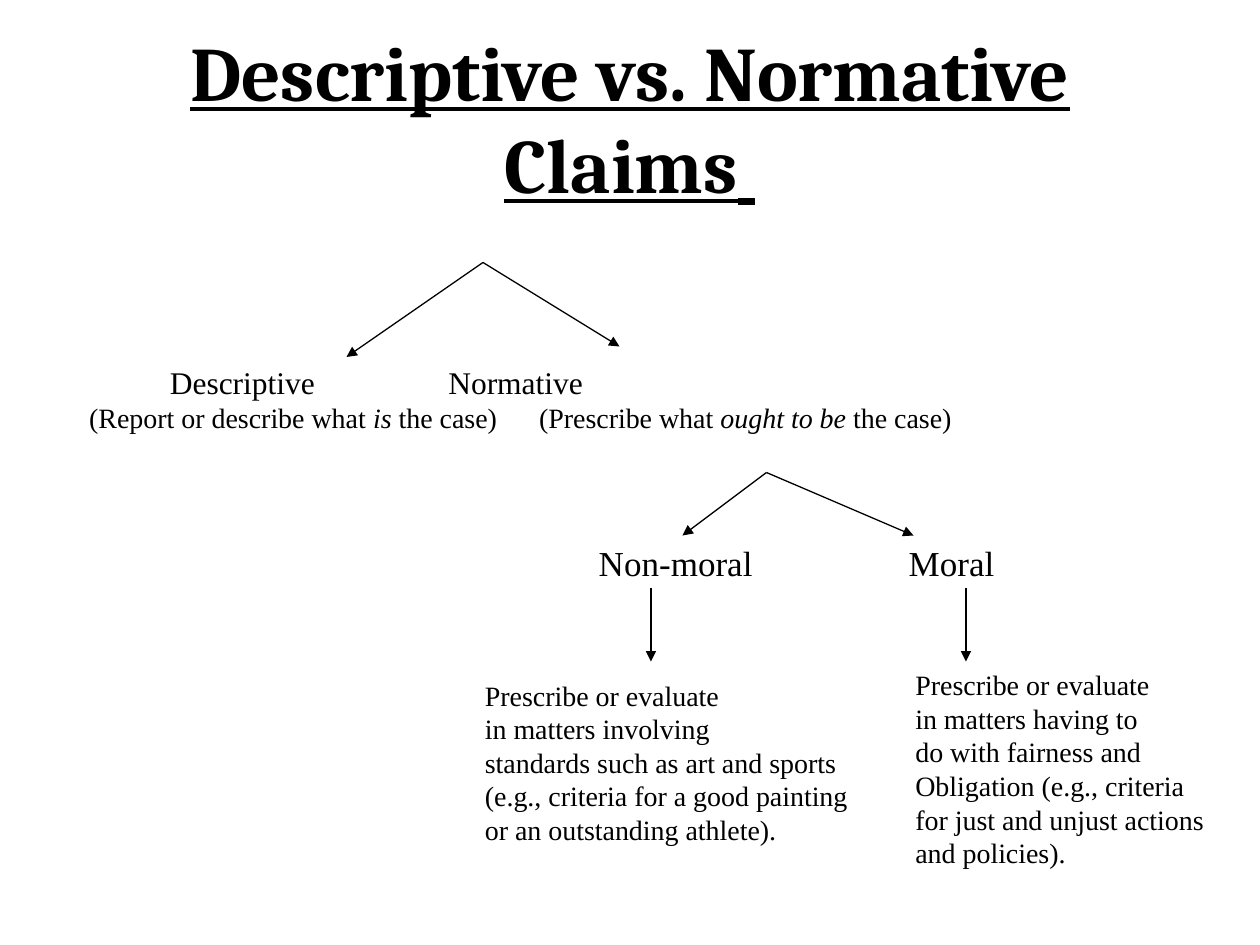
from lxml import etree
from pptx import Presentation, util as u
from pptx.dml.color import RGBColor
from pptx.enum import shapes, text
from pptx.oxml import ns

BLACK = RGBColor(0, 0, 0)
BODY_FONT = "Times New Roman"
COLUMNS, ROWS = 120, 90
CELL = u.Inches(10) // COLUMNS  # square grid, twelve cells to the inch


def grid(*cells):
    return [u.Emu(cell * CELL) for cell in cells]


def add_run(paragraph, words, size, font=BODY_FONT, bold=False, italic=False, underline=False):
    run = paragraph.add_run()
    run.text = words
    run.font.name, run.font.size = font, u.Pt(size)
    run.font.bold, run.font.italic, run.font.underline = bold, italic, underline
    run.font.color.rgb = BLACK


def set_tabs(paragraph, stops):
    """Add left tab stops, in inches from the text edge."""
    tabs = etree.SubElement(paragraph._p.get_or_add_pPr(), ns.qn("a:tabLst"))
    for stop in stops:
        etree.SubElement(tabs, ns.qn("a:tab"), pos=str(u.Inches(stop)), algn="l")


def add_text(slide, box, lines, size, stops=()):
    """Write lines of text; in a line given as a list, every second part is italic."""
    frame = slide.shapes.add_textbox(*grid(*box)).text_frame
    frame.word_wrap = True
    for index, line in enumerate(lines):
        paragraph = frame.add_paragraph() if index else frame.paragraphs[0]
        if stops:
            set_tabs(paragraph, stops[index])
        parts = [line] if isinstance(line, str) else line
        for position, words in enumerate(parts):
            add_run(paragraph, words, size[index] if stops else size, italic=position % 2 == 1)


def add_arrows(slide, start, *tips):
    """Draw arrows from one starting cell to each tip."""
    for tip in tips:
        arrow = slide.shapes.add_connector(shapes.MSO_CONNECTOR.STRAIGHT, *grid(*start, *tip))
        arrow.line.color.rgb = BLACK
        arrow.line.width = u.Pt(0.75)
        etree.SubElement(arrow.line._get_or_add_ln(), ns.qn("a:tailEnd"), type="triangle")
        etree.SubElement(arrow._element.spPr, ns.qn("a:effectLst"))


def add_title(slide, box):
    title = slide.shapes.title
    title.left, title.top, title.width, title.height = grid(*box)
    frame = title.text_frame
    frame.vertical_anchor = text.MSO_ANCHOR.MIDDLE
    paragraph = frame.paragraphs[0]
    paragraph.alignment = text.PP_ALIGN.CENTER
    add_run(paragraph, "Descriptive vs. Normative Claims", 44, "Cambria", bold=True, underline=True)
    add_run(paragraph, " ", 44, "Calibri", underline=True)


def add_claim_types(slide, left, top):
    add_arrows(slide, (left + 46, top), (left + 33, top + 9), (left + 59, top + 8))
    add_text(slide, (left, top + 9, COLUMNS, 9),
             ["\tDescriptive\tNormative",
              ["\t(Report or describe what ", "is", " the case)\t(Prescribe what ",
               "ought to be ", "the case)"]],
             size=(18, 16), stops=((1.25, 3.46), (0.61, 4.18)))


def add_normative_types(slide, left, top):
    add_arrows(slide, (left + 28, top), (left + 20, top + 6), (left + 42, top + 6))
    add_text(slide, (left + 7, top + 6, 68, 8), ["\tNon-moral\tMoral"],
             size=(20,), stops=((0.32, 2.78),))
    for column in (17, 47):
        add_arrows(slide, (left + column, top + 11), (left + column, top + 18))
    add_text(slide, (left, top + 19, 41, 20),
             ["Prescribe or evaluate", "in matters involving", "standards such as art and sports",
              "(e.g., criteria for a good painting", "or an outstanding athlete)."], 16)
    add_text(slide, (left + 41, top + 18, 30, 20),
             ["Prescribe or evaluate", "in matters having to", "do with fairness and",
              "Obligation (e.g., criteria for just and unjust actions and policies)."], 16)


def main():
    presentation = Presentation()
    presentation.slide_width, presentation.slide_height = grid(COLUMNS, ROWS)
    slide = presentation.slides.add_slide(presentation.slide_layouts[5])
    add_title(slide, (6, 3.6, 108, 15))
    add_claim_types(slide, 0, 25)
    add_normative_types(slide, 45, 45)
    presentation.save("out.pptx")


if __name__ == "__main__":
    main()
